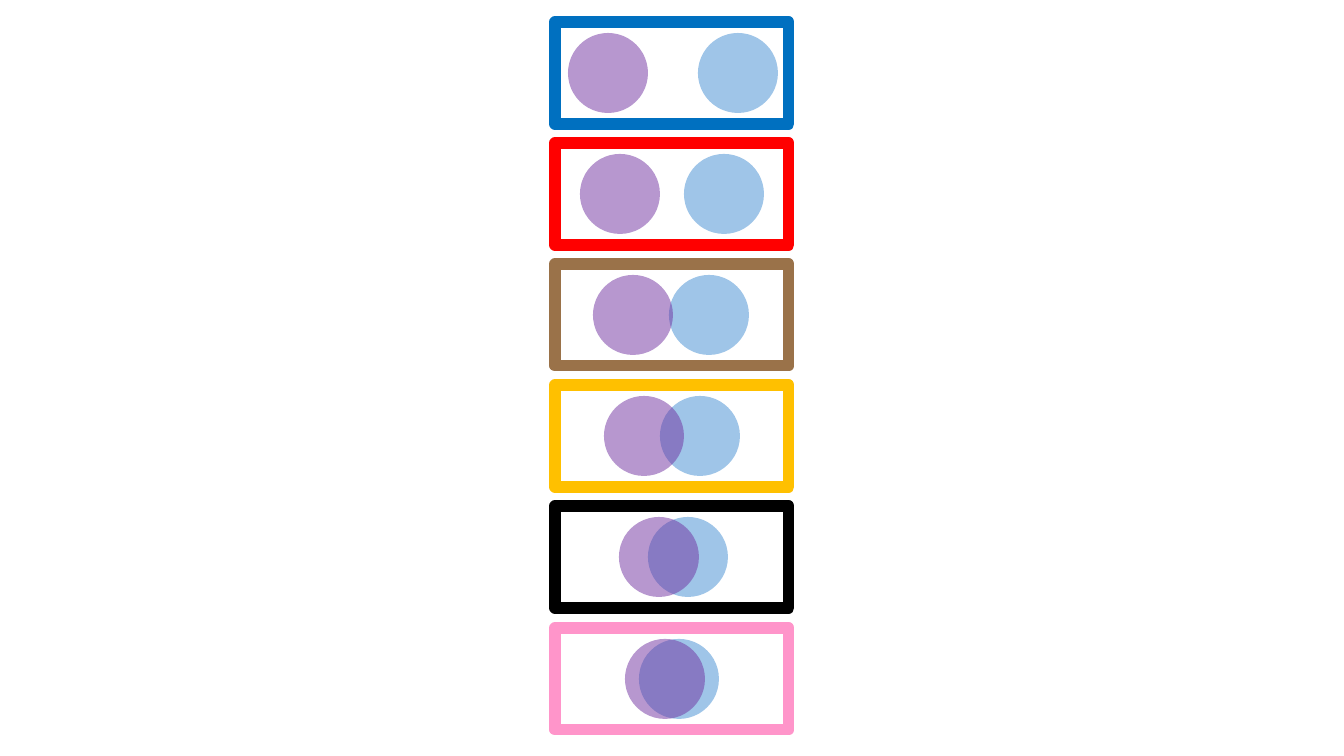
import pptx
import pptx.util
import pptx.dml.color
import pptx.enum.shapes
from lxml import etree
from pptx.oxml.ns import qn

COLORS = {
    "white": "FFFFFF", "light_blue": "9FC5E8", "purple": "7030A0",
    "blue": "0070C0", "red": "FF0000", "brown": "9A7249",
    "yellow": "FFC000", "black": "000000", "pink": "FF95CA",
}
# frame colour, frame top, purple circle left, light blue circle left
ROWS = [
    ("blue", 22, 568, 698),
    ("red", 143, 580, 684),
    ("brown", 264, 593, 669),
    ("yellow", 385, 604, 660),
    ("black", 506, 619, 648),
    ("pink", 628, 625, 639),
]
FRAME_LEFT, FRAME_WIDTH, FRAME_HEIGHT = 555, 234, 102
DIAMETER = 80
INSET = (FRAME_HEIGHT - DIAMETER) // 2
SHAPE = pptx.enum.shapes.MSO_SHAPE


def px(n):
    return pptx.util.Emu(round(n * 914400 / 134.4))


def rgb(name):
    return pptx.dml.color.RGBColor.from_string(COLORS[name])


def add_shape(s, kind, left, top, width, height, fill, line=None, alpha=None):
    sp = s.shapes.add_shape(kind, px(left), px(top), px(width), px(height))
    sp.shadow.inherit = False
    sp.fill.solid()
    sp.fill.fore_color.rgb = rgb(fill)
    if alpha is not None:
        color = sp.fill._xPr.find(qn("a:solidFill"))[0]
        etree.SubElement(color, qn("a:alpha")).set("val", str(alpha * 1000))
    if line is None:
        sp.line.fill.background()
    else:
        sp.line.color.rgb = rgb(line)
        sp.line.width = pptx.util.Pt(6)


def main():
    prs = pptx.Presentation()
    prs.slide_width, prs.slide_height = px(1344), px(756)
    s = prs.slides.add_slide(prs.slide_layouts[6])
    for frame, top, purple_left, blue_left in ROWS:
        add_shape(s, SHAPE.RECTANGLE, FRAME_LEFT, top, FRAME_WIDTH, FRAME_HEIGHT,
                  "white", line=frame)
        add_shape(s, SHAPE.OVAL, blue_left, top + INSET, DIAMETER, DIAMETER, "light_blue")
        add_shape(s, SHAPE.OVAL, purple_left, top + INSET, DIAMETER, DIAMETER,
                  "purple", alpha=50)
    prs.save("out.pptx")


if __name__ == "__main__":
    main()
